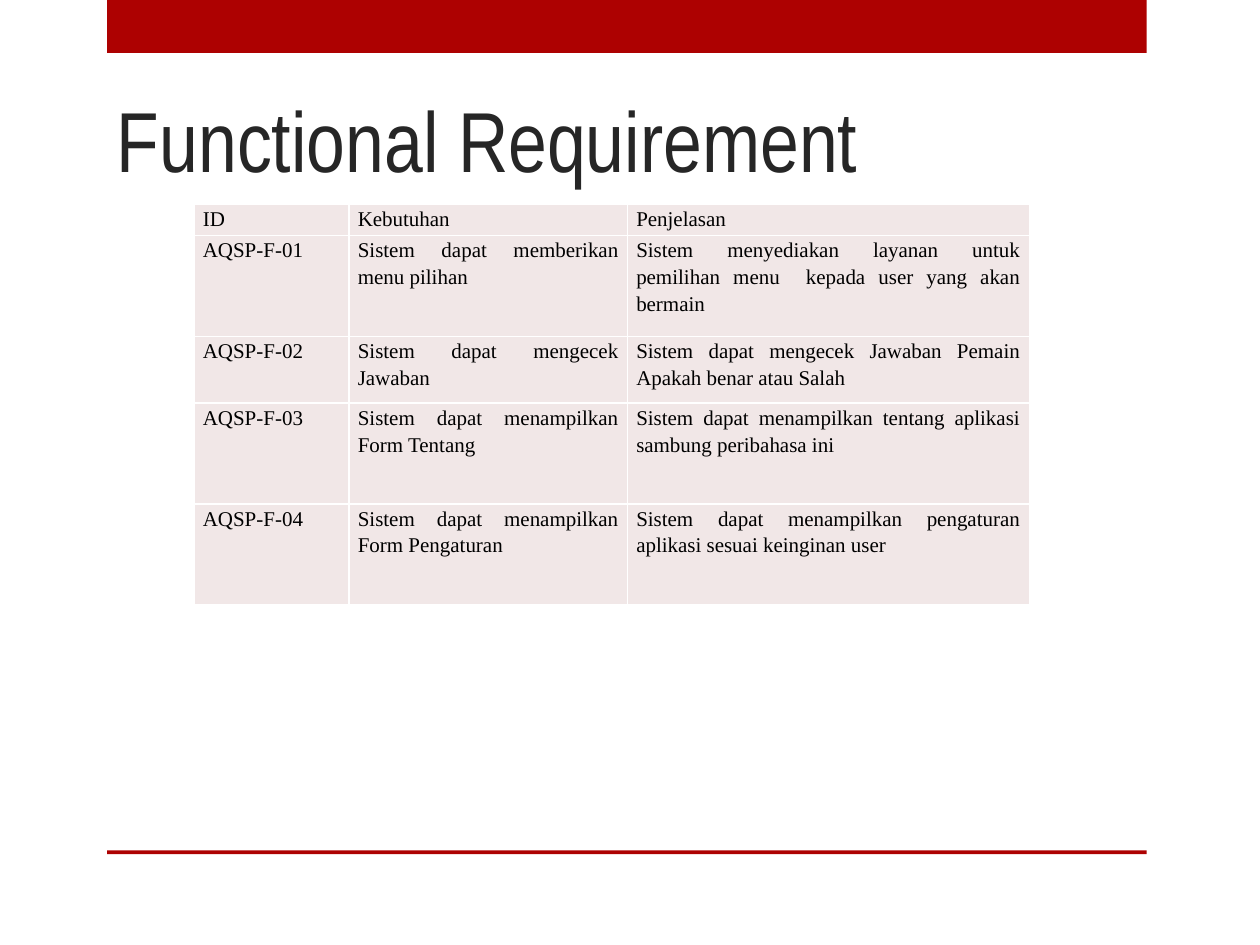
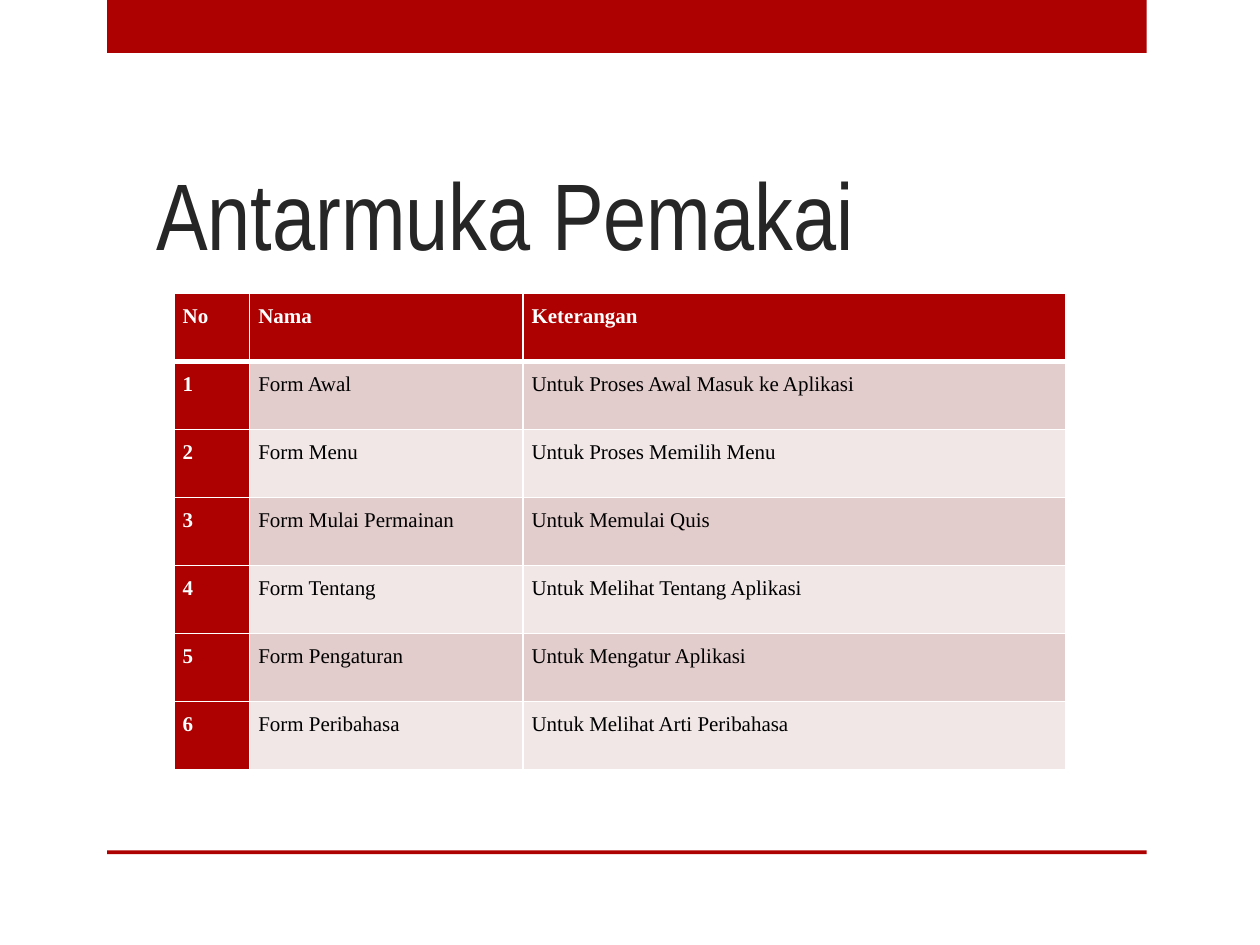
from lxml import etree
from pptx import Presentation
from pptx.dml.color import RGBColor
from pptx.enum import shapes, text
from pptx.oxml import ns
from pptx.util import Inches, Pt

RED, ROSE, PALE = "AD0101", "E3CCCC", "F1E7E7"
INK, BLACK, WHITE = "262626", "000000", "FFFFFF"
HEAD, BODY = "Arial Narrow", "Times New Roman"

NEEDS = [
    ("ID", "Kebutuhan ", "Penjelasan"),
    ("AQSP-F-01", "Sistem dapat memberikan menu pilihan",
     "Sistem menyediakan layanan untuk pemilihan menu  kepada user yang akan bermain"),
    ("AQSP-F-02", "Sistem dapat mengecek Jawaban",
     "Sistem dapat mengecek Jawaban Pemain Apakah benar atau Salah"),
    ("AQSP-F-03", "Sistem dapat menampilkan Form Tentang",
     "Sistem dapat menampilkan tentang aplikasi sambung peribahasa ini"),
    ("AQSP-F-04", "Sistem dapat menampilkan Form Pengaturan",
     "Sistem dapat menampilkan pengaturan aplikasi sesuai keinginan user"),
]
FORMS = [
    ("No", "Nama", "Keterangan"),
    ("1", "Form Awal", "Untuk Proses Awal Masuk ke Aplikasi"),
    ("2", "Form Menu", "Untuk Proses Memilih Menu"),
    ("3", "Form Mulai Permainan", "Untuk Memulai Quis"),
    ("4", "Form Tentang", "Untuk Melihat Tentang Aplikasi"),
    ("5", "Form Pengaturan", "Untuk Mengatur Aplikasi"),
    ("6", "Form Peribahasa", "Untuk Melihat Arti Peribahasa"),
]


def paint(part, tone):
    part.solid()
    part.fore_color.rgb = RGBColor.from_string(tone)


def write(para, words, font, size, tone, bold=False):
    run = para.add_run()
    run.text = words
    run.font.name, run.font.size, run.font.bold = font, Pt(size), bold
    paint(run.font.fill, tone)


def add_bands(slide, left=0.85, width=8.25):
    for top, height in ((0, 0.42), (6.75, 0.03)):
        band = slide.shapes.add_shape(
            shapes.MSO_SHAPE.RECTANGLE, *map(Inches, (left, top, width, height)))
        band.shadow.inherit = False
        paint(band.fill, RED)
        band.line.fill.background()


def add_title(slide, box, words, size):
    frame = slide.shapes.add_textbox(*map(Inches, box)).text_frame
    frame.word_wrap = True
    frame.vertical_anchor = text.MSO_ANCHOR.BOTTOM
    write(frame.paragraphs[0], words, HEAD, size, INK)


def add_edges(cell, top, bottom):
    props = cell._tc.get_or_add_tcPr()
    for side, width in zip("LRTB", (1, 1, top, bottom)):
        line = etree.SubElement(props, ns.qn(f"a:ln{side}"), w=str(Pt(width)))
        fill = etree.SubElement(line, ns.qn("a:solidFill"))
        etree.SubElement(fill, ns.qn("a:srgbClr"), val=WHITE)


def fill_cell(cell, words, tone, bold, space, edges):
    add_edges(cell, *edges)
    paint(cell.fill, tone)
    cell.margin_left = cell.margin_right = Inches(0.07)
    cell.margin_top = cell.margin_bottom = 0
    para = cell.text_frame.paragraphs[0]
    para.alignment = text.PP_ALIGN.JUSTIFY
    para.line_spacing = space
    write(para, words, BODY, 12, WHITE if bold else BLACK, bold)


def add_grid(slide, spot, cols, rows, data, space, striped):
    box = (*spot, sum(cols), sum(rows))
    grid = slide.shapes.add_table(len(rows), len(cols), *map(Inches, box)).table
    grid.first_row = grid.horz_banding = False
    for col, width in zip(grid.columns, cols):
        col.width = Inches(width)
    for row, height in zip(grid.rows, rows):
        row.height = Inches(height)
    for r, record in enumerate(data):
        edges = (3 if striped and r == 1 else 1, 3 if striped and r == 0 else 1)
        for c, words in enumerate(record):
            strong = striped and (r == 0 or c == 0)
            tone = RED if strong else ROSE if striped and r % 2 else PALE
            fill_cell(grid.cell(r, c), words, tone, strong, space, edges)


def add_page(deck, title, grid):
    slide = deck.slides.add_slide(deck.slide_layouts[6])
    add_bands(slide)
    add_title(slide, *title)
    add_grid(slide, *grid)


def main():
    deck = Presentation()
    deck.slide_width, deck.slide_height = Inches(10), Inches(7.5)
    add_page(deck, ((0.83, 0.36, 7.42, 1.19), "Functional Requirement", 48.6),
             ((1.54, 1.62), (1.23, 2.21, 3.19), (0.25, 0.8, 0.53, 0.8, 0.8),
              NEEDS, 1.15, False))
    add_page(deck, ((1.14, 0.44, 7.42, 1.75), "Antarmuka Pemakai", 54),
             ((1.38, 2.33), (0.6, 2.17, 4.31), [0.54] * len(FORMS),
              FORMS, 1.5, True))
    deck.save("out.pptx")


if __name__ == "__main__":
    main()
